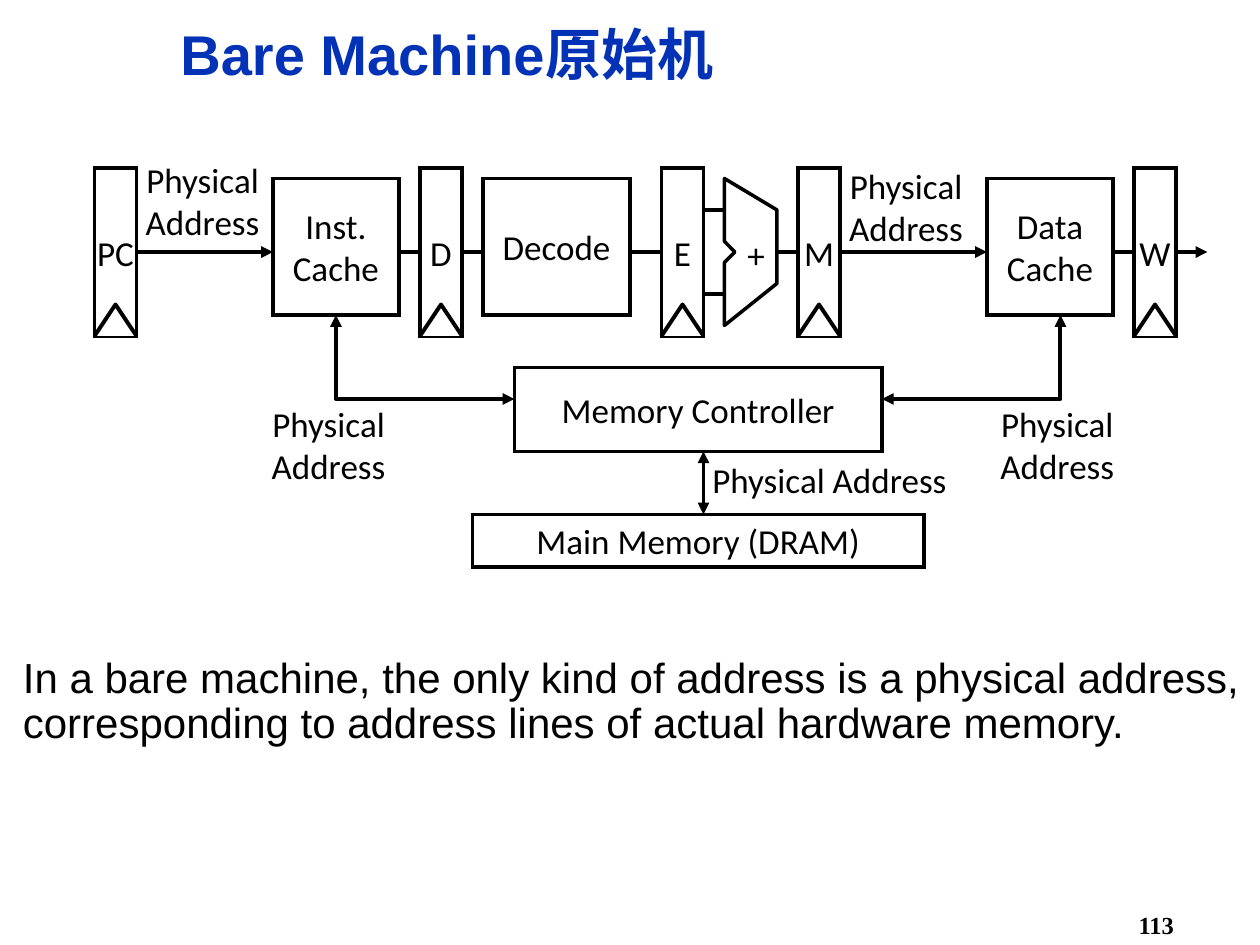
from lxml import etree
from pptx import Presentation
from pptx.dml.color import RGBColor
from pptx.enum.shapes import MSO_CONNECTOR, MSO_SHAPE
from pptx.enum.text import MSO_ANCHOR, PP_ALIGN
from pptx.oxml.ns import qn
from pptx.util import Inches, Pt

RECT, STRAIGHT = MSO_SHAPE.RECTANGLE, MSO_CONNECTOR.STRAIGHT
TOP, MIDDLE = MSO_ANCHOR.TOP, MSO_ANCHOR.MIDDLE
LEFT, CENTER, RIGHT = PP_ALIGN.LEFT, PP_ALIGN.CENTER, PP_ALIGN.RIGHT
COLORS = {"ink": "000000", "paper": "FFFFFF", "title": "0332B7"}

prs = Presentation()
prs.slide_width, prs.slide_height = Inches(10), Inches(7.5)
s = prs.slides.add_slide(prs.slide_layouts[6])
U = prs.slide_width // 120  # grid of 120 columns by 90 rows


def add_text(text, x, y, w, h, box=False, size=20, font="Calibri", color="ink",
             bold=False, align=CENTER, anchor=MIDDLE, wrap=True, spacing=None):
    """Put text on the grid, in an outlined box if asked."""
    area = [round(v * U) for v in (x, y, w, h)]
    if box:
        sp = s.shapes.add_shape(RECT, *area)
        style(sp, 2 if wrap else 2.25, fill=True, join="miter")
    else:
        sp = s.shapes.add_textbox(*area)
    tf = sp.text_frame
    tf.word_wrap, tf.vertical_anchor = wrap, anchor
    p = tf.paragraphs[0]
    p.alignment, p.line_spacing = align, spacing
    r = p.add_run()
    r.text = text
    r.font.size, r.font.name, r.font.bold = Pt(size), font, bold
    r.font.color.rgb = RGBColor.from_string(COLORS[color])


def style(sp, width=2.25, fill=None, join="round", ends=()):
    """Set line, arrowheads and fill (None for connectors), without shadow."""
    sp.line.width = Pt(width)
    sp.line.color.rgb = RGBColor.from_string(COLORS["ink"])
    ln = sp.line._get_or_add_ln()
    etree.SubElement(ln, qn("a:" + join))
    for end in ends:
        etree.SubElement(ln, qn("a:" + end), type="triangle")
    if fill is None:
        etree.SubElement(sp._element.spPr, qn("a:effectLst"))
        return
    sp.shadow.inherit = False
    if fill:
        sp.fill.solid()
        sp.fill.fore_color.rgb = RGBColor.from_string(COLORS["paper"])
    else:
        sp.fill.background()


add_text("Bare Machine原始机", 16, 1, 94, 9, size=32, font="Arial", color="title",
         bold=True, align=LEFT, spacing=0.9)
add_text("In a bare machine, the only kind of address is a physical address, "
         "corresponding to address lines of actual hardware memory.",
         1, 62, 119, 18, size=24, font="Arial", align=LEFT, anchor=TOP, spacing=0.9)
add_text("113", 88, 86.2, 25, 3.8, size=14, font="Times New Roman", bold=True,
         align=RIGHT, wrap=False)

# Wires run behind the blocks
ONE_WAY, TWO_WAY = ("tailEnd",), ("headEnd", "tailEnd")
wires = [
    (13, 24, 26, 24, ONE_WAY), (38, 24, 63, 24, ()), (74, 24, 94, 24, ONE_WAY),
    (106, 24, 115, 24, ONE_WAY), (67, 20, 69, 20, ()), (67, 28, 69, 28, ()),
    (67, 43, 67, 49, TWO_WAY),
]
for x1, y1, x2, y2, ends in wires:
    style(s.shapes.add_connector(STRAIGHT, x1 * U, y1 * U, x2 * U, y2 * U), ends=ends)

# Pipeline registers, each with a clock mark at its foot
outlines = []
for name, x in [("PC", 9), ("D", 40), ("E", 63), ("M", 76), ("W", 108)]:
    add_text(name, x, 16, 4, 16, box=True, wrap=False)
    outlines.append(([(x, 32), (x + 2, 29), (x + 4, 32)], False, 2.25, True, ()))

alu = [(69, 17), (69, 23), (70, 24), (69, 25), (69, 31), (74, 27), (74, 20)]
outlines.append((alu, True, 2, True, ()))
for cache_x, controller_x in [(101, 84), (32, 49)]:
    bus = [(cache_x, 30), (cache_x, 38), (controller_x, 38)]
    outlines.append((bus, False, 2.25, False, TWO_WAY))

for points, close, width, fill, ends in outlines:
    builder = s.shapes.build_freeform(*points[0], scale=U)
    builder.add_line_segments(points[1:], close=close)
    style(builder.convert_to_shape(), width, fill=fill, ends=ends)

blocks = [
    ("Inst. Cache", 26, 17, 12, 13), ("Decode", 46, 17, 14, 13),
    ("Data Cache", 94, 17, 12, 13), ("Memory Controller", 49, 35, 35, 8),
    ("Main Memory (DRAM)", 45, 49, 43, 5),
]
for block in blocks:
    add_text(*block, box=True)

add_text("+", 70, 21.6, 4, 5.3, wrap=False)
for x, y in [(12, 14.5), (79, 15.1), (93.4, 37.7), (24, 37.7)]:
    add_text("Physical Address", x, y, 14.6, 9.2)
add_text("Physical Address", 63, 43, 32, 5.3)

prs.save("out.pptx")
